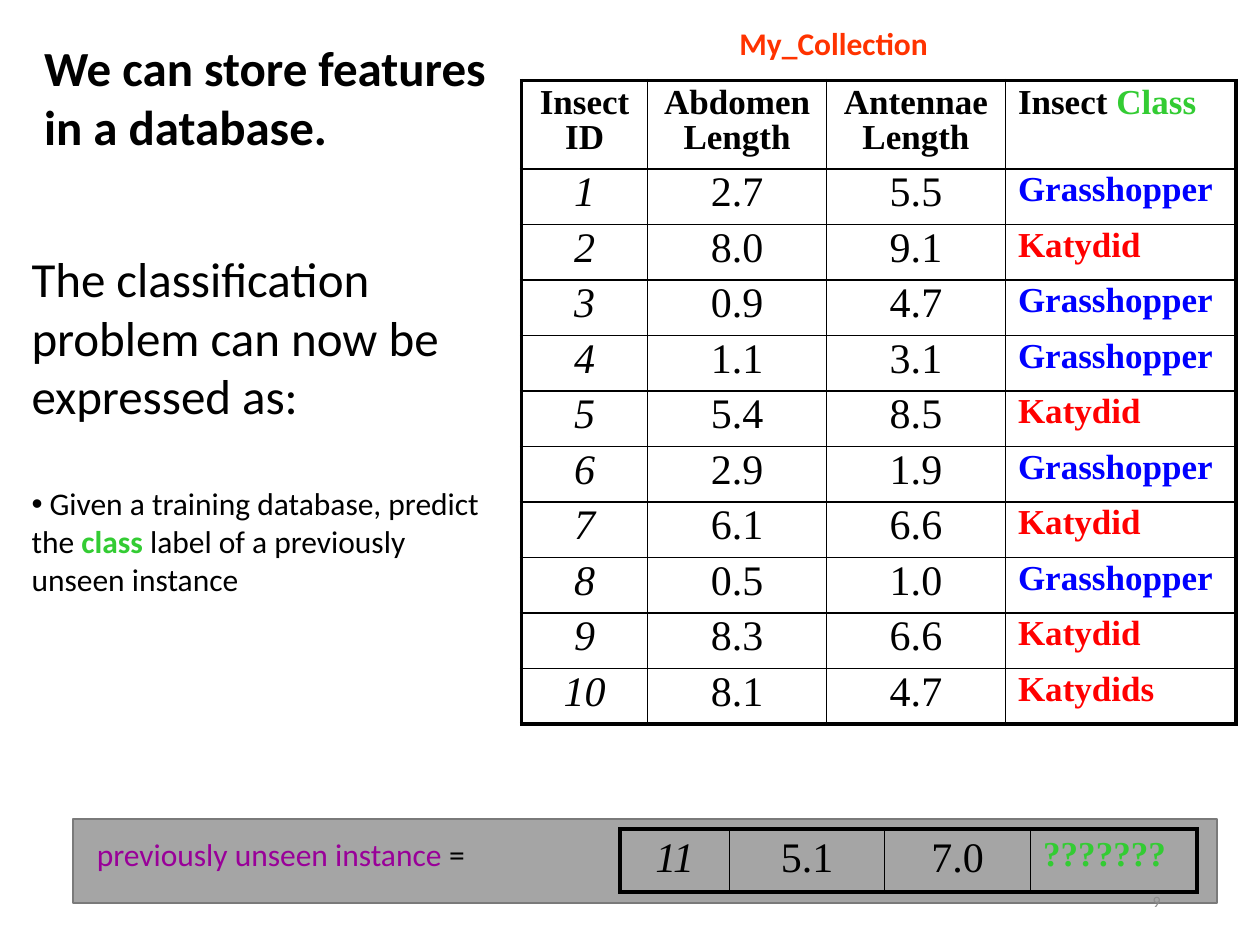
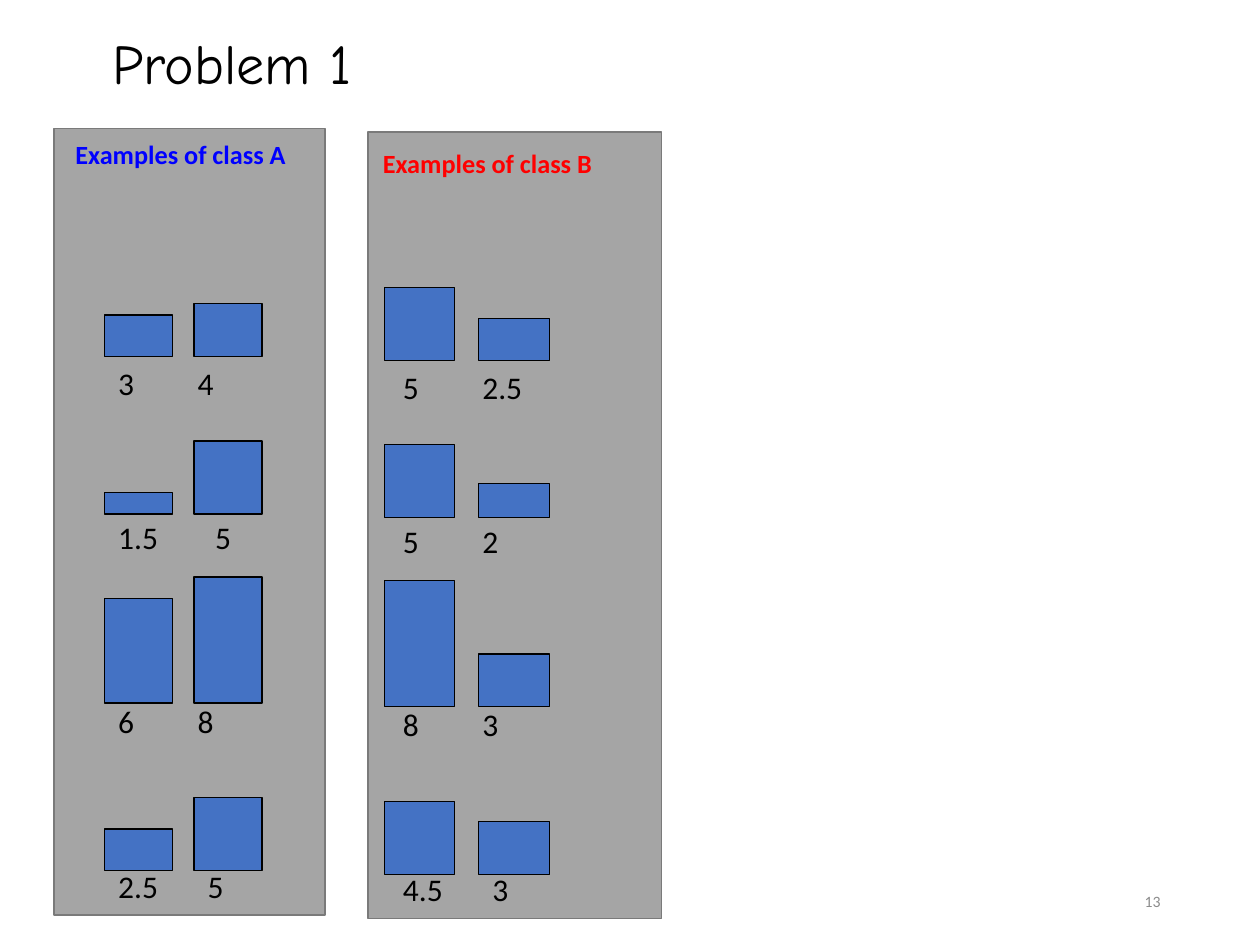
from lxml import etree
from pptx import Presentation
from pptx.dml.color import RGBColor
from pptx.enum.shapes import MSO_SHAPE
from pptx.enum.text import MSO_ANCHOR, MSO_AUTO_SIZE, PP_ALIGN
from pptx.oxml.ns import qn
from pptx.util import Inches, Pt

# Shared look
BLACK, BLUE, RED, GREEN = "000000", "0000FF", "FF0000", "33CC33"
ORANGE, PURPLE, PAGE_GRAY = "FF3300", "990099", "8C8C8C"
BAND, BAND_EDGE, BAR = "A5A5A5", "7A7A7A", "4472C4"
SANS, SERIF, COMIC = "Calibri", "Times New Roman", "Comic Neue"
THIN, THICK = 1, 2.25

# Insect table
HEADINGS = ["Insect ID", "Abdomen\nLength", "Antennae\nLength"]
INSECTS = [
    ("1", "2.7", "5.5", "Grasshopper"),
    ("2", "8.0", "9.1", "Katydid"),
    ("3", "0.9", "4.7", "Grasshopper"),
    ("4", "1.1", "3.1", "Grasshopper"),
    ("5", "5.4", "8.5", "Katydid"),
    ("6", "2.9", "1.9", "Grasshopper"),
    ("7", "6.1", "6.6", "Katydid"),
    ("8", "0.5", "1.0", "Grasshopper"),
    ("9", "8.3", "6.6", "Katydid"),
    ("10", "8.1", "4.7", "Katydids"),
]
UNSEEN = ("11", "5.1", "7.0", "???????")
INSECT_ROWS = [0.65] + [0.41 if row[0] in ("6", "9") else 0.44 for row in INSECTS]

# Example panels: two labels, two bar heights, tab stop of the second label
CLASS_A = [
    ("3", "4", 0.33, 0.42, 0.63),
    ("1.5", "5", 0.17, 0.58, 0.77),
    ("6", "8", 0.83, 1, 0.63),
    ("2.5", "5", 0.33, 0.58, 0.71),
]
CLASS_B = [
    ("5", "2.5", 0.58, 0.33, 0.63),
    ("5", "2", 0.58, 0.27, 0.63),
    ("8", "3", 1, 0.42, 0.63),
    ("4.5", "3", 0.58, 0.42, 0.71),
]
BASELINES = [1.81, 3.06, 4.56, 5.89]
LABEL_TOPS = [1.82, 3.04, 4.5, 5.81]


def rgb(value):
    return RGBColor.from_string(value)


def style(font, size, color=BLACK, bold=False, italic=False, name=SANS):
    font.name, font.size = name, Pt(size)
    font.bold, font.italic = bold, italic
    font.color.rgb = rgb(color)


def add_run(paragraph, text, color, bold=False):
    run = paragraph.add_run()
    run.text = text
    run.font.color.rgb = rgb(color)
    run.font.bold = bold


def place(shape, box):
    shape.left, shape.top, shape.width, shape.height = map(Inches, box)


def add_text(shapes, box, text, size, color=BLACK, bold=False):
    textbox = shapes.add_textbox(*map(Inches, box))
    textbox.text_frame.word_wrap = True
    paragraph = textbox.text_frame.paragraphs[0]
    paragraph.text = text
    style(paragraph.font, size, color, bold)
    return textbox.text_frame


def add_rect(shapes, box, fill, edge, width):
    rect = shapes.add_shape(MSO_SHAPE.RECTANGLE, *map(Inches, box))
    rect.shadow.inherit = False
    rect.fill.solid()
    rect.fill.fore_color.rgb = rgb(fill)
    rect.line.color.rgb = rgb(edge)
    rect.line.width = Pt(width)


def set_title(slide, box, text, size, bold=False, name=SANS):
    title = slide.shapes.title
    place(title, box)
    frame = title.text_frame
    frame.text = text
    frame.word_wrap = True
    frame.auto_size = MSO_AUTO_SIZE.NONE
    frame.vertical_anchor = MSO_ANCHOR.TOP
    frame.paragraphs[0].alignment = PP_ALIGN.LEFT
    style(frame.paragraphs[0].font, size, bold=bold, name=name)


def add_page_number(slide, number):
    frame = add_text(slide.shapes, (7.06, 6.95, 2.25, 0.4), number, 9, PAGE_GRAY)
    frame.vertical_anchor = MSO_ANCHOR.MIDDLE
    frame.paragraphs[0].alignment = PP_ALIGN.RIGHT


def set_bullet(paragraph, char=None):
    properties = paragraph._p.get_or_add_pPr()
    properties.set("marL", "0")
    properties.set("indent", "0")
    bullet = etree.SubElement(properties, qn("a:buChar" if char else "a:buNone"))
    if char:
        bullet.set("char", char)


def set_borders(cell, widths):
    """Draw the left, right, top and bottom border of a cell."""
    properties = cell._tc.get_or_add_tcPr()
    for index, (side, width) in enumerate(zip("LRTB", widths)):
        line = etree.Element(qn(f"a:ln{side}"), w=str(Pt(width)))
        fill = etree.SubElement(line, qn("a:solidFill"))
        etree.SubElement(fill, qn("a:srgbClr"), val=BLACK)
        properties.insert(index, line)


def add_grid(slide, left, top, columns, rows):
    """Add a clear table with a thick frame and thin inner lines."""
    table = slide.shapes.add_table(
        len(rows), len(columns), Inches(left), Inches(top),
        Inches(sum(columns)), Inches(sum(rows))).table
    table.first_row = table.horz_banding = False
    for column, width in zip(table.columns, columns):
        column.width = Inches(width)
    for row, height in zip(table.rows, rows):
        row.height = Inches(height)
    for r in range(len(rows)):
        for c in range(len(columns)):
            cell = table.cell(r, c)
            cell.fill.background()
            edges = (c == 0, c == len(columns) - 1, r == 0, r == len(rows) - 1)
            set_borders(cell, [THICK if edge else THIN for edge in edges])
    return table


def fill_row(table, row, values, class_color, spacing):
    for column, value in enumerate(values):
        paragraph = table.cell(row, column).text_frame.paragraphs[0]
        paragraph.text = value
        paragraph.line_spacing = spacing
        if column == 3:
            style(paragraph.font, 20, class_color, bold=True, name=SERIF)
        else:
            paragraph.alignment = PP_ALIGN.CENTER
            style(paragraph.font, 24, italic=column == 0, name=SERIF)


def add_insect_table(slide, left, top):
    table = add_grid(slide, left, top, [1, 1.42, 1.42, 1.83], INSECT_ROWS)
    for column, heading in enumerate(HEADINGS):
        frame = table.cell(0, column).text_frame
        frame.text = heading
        for paragraph in frame.paragraphs:
            paragraph.alignment = PP_ALIGN.CENTER
            paragraph.line_spacing = 0.9
            style(paragraph.font, 20, bold=True, name=SERIF)
    class_heading = table.cell(0, 3).text_frame.paragraphs[0]
    class_heading.line_spacing = 0.9
    style(class_heading.font, 20, bold=True, name=SERIF)
    add_run(class_heading, "Insect ", BLACK, True)
    add_run(class_heading, "Class", GREEN, True)
    for row, insect in enumerate(INSECTS, 1):
        color = BLUE if insect[3] == "Grasshopper" else RED
        fill_row(table, row, insect, color, 0.85)


def add_problem_statement(slide, box):
    body = slide.placeholders[1]
    place(body, box)
    frame = body.text_frame
    frame.word_wrap = True
    frame.auto_size = MSO_AUTO_SIZE.NONE
    statement = frame.paragraphs[0]
    statement.text = "The classification problem can now be expressed as:"
    statement.space_before = Pt(0)
    style(statement.font, 28)
    set_bullet(statement)
    task = frame.add_paragraph()
    task.space_before = Pt(34)
    style(task.font, 18)
    set_bullet(task, "•")
    add_run(task, " Given a training database, predict the ", BLACK)
    add_run(task, "class ", GREEN, True)
    add_run(task, "label of a previously unseen instance", BLACK)


def add_unseen_band(slide, left, top):
    add_rect(slide.shapes, (left, top, 9.08, 0.67), BAND, BAND_EDGE, 1)
    frame = add_text(slide.shapes, (left + 0.09, top + 0.08, 3.6, 0.5), "", 18)
    add_run(frame.paragraphs[0], "previously unseen instance", PURPLE)
    add_run(frame.paragraphs[0], " =", BLACK)
    table = add_grid(slide, left + 4.34, top + 0.08, [0.87, 1.23, 1.16, 1.32], [0.46])
    fill_row(table, 0, UNSEEN, GREEN, 1)


def add_label_pair(shapes, box, first, second, tab):
    frame = add_text(shapes, box, f"{first}\t{second}", 18)
    properties = frame.paragraphs[0]._p.get_or_add_pPr()
    stops = etree.Element(qn("a:tabLst"))
    etree.SubElement(stops, qn("a:tab"), pos=str(Inches(tab)), algn="l")
    properties.insert(0, stops)


def add_example_panel(slide, box, heading, heading_offset, color, examples,
                      bar_lefts, bar_width, label_left):
    left, top, width, _ = box
    shapes = slide.shapes.add_group_shape().shapes
    add_rect(shapes, box, BAND, BAND_EDGE, 1)
    dx, dy = heading_offset
    add_text(shapes, (left + dx, top + dy, width - dx, 0.35), heading, 15, color, True)
    for example, baseline, label_top in zip(examples, BASELINES, LABEL_TOPS):
        first, second, *heights, tab = example
        for bar_left, height in zip(bar_lefts, heights):
            add_rect(shapes, (left + bar_left, top + baseline - height,
                              bar_width, height), BAR, BLACK, 0.75)
        add_label_pair(shapes, (left + label_left, top + label_top, 1.36, 0.4),
                       first, second, tab)


def build_database_slide(deck):
    slide = deck.slides.add_slide(deck.slide_layouts[1])
    set_title(slide, (0.25, 0.25, 3.83, 1.03),
              "We can store features in a database.", 28, bold=True)
    add_problem_statement(slide, (0.15, 1.92, 3.92, 2.89))
    add_text(slide.shapes, (5.77, 0.14, 2.29, 0.5), "My_Collection", 18, ORANGE, True)
    add_insect_table(slide, 4.14, 0.64)
    add_unseen_band(slide, 0.58, 6.5)
    add_page_number(slide, "9")


def build_problem_slide(deck):
    slide = deck.slides.add_slide(deck.slide_layouts[5])
    set_title(slide, (0.79, 0.18, 2.21, 0.64), "Problem 1", 32, name=COMIC)
    add_example_panel(slide, (0.43, 1.02, 2.15, 6.24), "Examples of class A",
                      (0.07, 0.03), BLUE, CLASS_A, (0.4, 1.11), 0.54, 0.41)
    add_example_panel(slide, (2.92, 1.05, 2.33, 6.24), "Examples of class B",
                      (0.02, 0.07), RED, CLASS_B, (0.13, 0.88), 0.56, 0.18)
    add_page_number(slide, "13")


def main():
    deck = Presentation()
    deck.slide_width, deck.slide_height = Inches(10), Inches(7.5)
    build_database_slide(deck)
    build_problem_slide(deck)
    deck.save("out.pptx")


if __name__ == "__main__":
    main()
